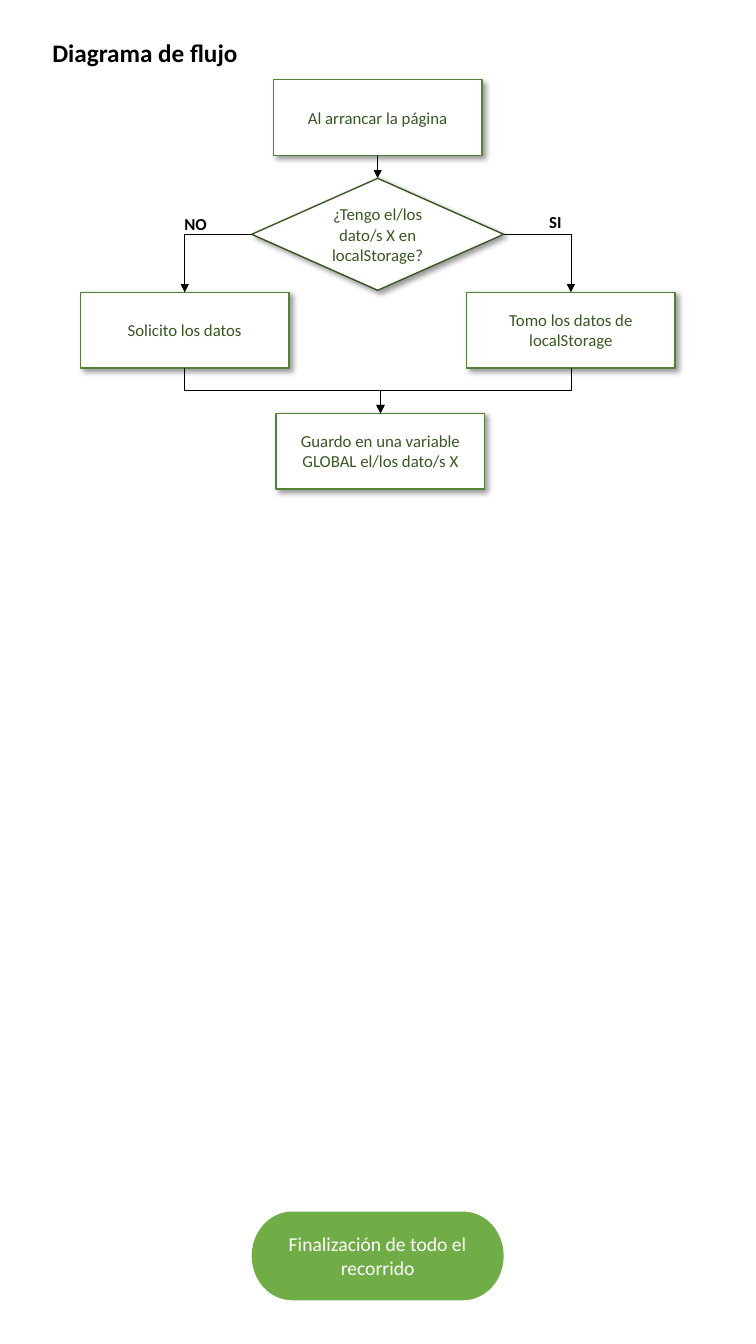
import pptx
import pptx.dml.color
import pptx.enum.shapes
import pptx.enum.text
import pptx.oxml
import pptx.oxml.ns
import pptx.util
from dataclasses import dataclass

Pt = pptx.util.Pt
SHAPE = pptx.enum.shapes.MSO_SHAPE
ALIGN = pptx.enum.text.PP_ALIGN
ANCHOR = pptx.enum.text.MSO_ANCHOR
TOP, LEFT, BOTTOM, RIGHT = range(4)  # connection sites of a box


@dataclass(frozen=True)
class Theme:
    font: str = "Calibri"
    title_size: float = 18
    end_size: float = 14
    body_size: float = 12
    ink: str = "000000"
    paper: str = "FFFFFF"
    box_line: str = "548235"
    dark_green: str = "385723"
    end_fill: str = "70AD47"
    box_width: float = 1
    connector_width: float = 0.5


THEME = Theme()
SLIDE_SIZE = (540, 960)
PROCESS_SIZE, DECISION_SIZE, END_SIZE = (149, 54), (180, 80), (180, 63.4)
LABEL_SIZE = (40, 21.6)

TITLE = ("Diagrama de flujo", (30.2, 23, 218, 29))
# key: (text, kind, centre x, top)
STEPS = {
    "start": ("Al arrancar la página", "process", 269.8, 56.9),
    "question": ("¿Tengo el/los dato/s X en localStorage?", "decision", 269.8, 127.4),
    "ask": ("Solicito los datos", "process", 132, 208.8),
    "take": ("Tomo los datos de localStorage", "process", 407.8, 208.8),
    "store": ("Guardo en una variable GLOBAL el/los dato/s X", "process", 271.8, 295.2),
    "end": ("Finalización de todo el recorrido", "end", 269.8, 865.4),
}
# kind: (preset, size, fill, line, text colour, text size)
KINDS = {
    "process": (SHAPE.FLOWCHART_PROCESS, PROCESS_SIZE, THEME.paper,
                THEME.box_line, THEME.dark_green, THEME.body_size),
    "decision": (SHAPE.FLOWCHART_DECISION, DECISION_SIZE, THEME.paper,
                 THEME.dark_green, THEME.dark_green, THEME.body_size),
    "end": (SHAPE.FLOWCHART_TERMINATOR, END_SIZE, THEME.end_fill,
            None, THEME.paper, THEME.end_size),
}
# (from, site, to, preset)
ARROWS = [
    ("start", BOTTOM, "question", "line"),
    ("question", LEFT, "ask", "bentConnector2"),
    ("question", RIGHT, "take", "bentConnector2"),
    ("ask", BOTTOM, "store", "bentConnector3"),
    ("take", BOTTOM, "store", "bentConnector3"),
]
# (text, centre x, top)
LABELS = [("NO", 139.7, 149), ("SI", 396.7, 147.6)]


def color(value):
    return pptx.dml.color.RGBColor.from_string(value)


def append_xml(parent, xml):
    namespace = pptx.oxml.ns.nsdecls("a")
    parent.append(pptx.oxml.parse_xml(xml.replace("NS", namespace, 1)))


def write(shape, text, size, ink, bold=False, align=ALIGN.CENTER, anchor=ANCHOR.MIDDLE):
    frame = shape.text_frame
    frame.text = text
    frame.word_wrap = True
    frame.vertical_anchor = anchor
    paragraph = frame.paragraphs[0]
    paragraph.alignment = align
    font = paragraph.runs[0].font
    font.name, font.size, font.bold = THEME.font, Pt(size), bold
    font.color.rgb = color(ink)


def place(shape, left, top, width, height):
    shape.left, shape.top = Pt(left), Pt(top)
    shape.width, shape.height = Pt(width), Pt(height)


def add_step(slide, text, kind, center, top):
    preset, (width, height), fill, line, ink, size = KINDS[kind]
    shape = slide.shapes.add_shape(
        preset, Pt(center - width / 2), Pt(top), Pt(width), Pt(height))
    shape.fill.solid()
    shape.fill.fore_color.rgb = color(fill)
    shape.shadow.inherit = False
    if line:
        shape.line.color.rgb = color(line)
        shape.line.width = Pt(THEME.box_width)
        effects = shape._element.spPr.find(pptx.oxml.ns.qn("a:effectLst"))
        append_xml(effects, (
            f'<a:outerShdw NS blurRad="{Pt(4)}" dist="{Pt(3)}" dir="2700000" '
            f'algn="tl" rotWithShape="0"><a:srgbClr val="{THEME.ink}">'
            '<a:alpha val="40000"/></a:srgbClr></a:outerShdw>'))
    else:
        shape.line.fill.background()
    write(shape, text, size, ink)
    return shape


def turn_downwards(connector):
    """Rotate a three-part elbow so that it leaves and arrives vertically."""
    across, down = connector.width, connector.height
    goes_right = connector.end_x > connector.begin_x
    center_x = connector.left + across // 2
    center_y = connector.top + down // 2
    connector.left, connector.top = center_x - down // 2, center_y - across // 2
    connector.width, connector.height = down, across
    transform = connector._element.spPr.find(pptx.oxml.ns.qn("a:xfrm"))
    transform.set("rot", str((270 if goes_right else 90) * 60000))
    transform.set("flipH", "1" if goes_right else "0")


def add_arrow(slide, source, site, target, preset):
    connector = slide.shapes.add_connector(
        pptx.enum.shapes.MSO_CONNECTOR.ELBOW, 0, 0, 0, 0)
    connector.begin_connect(source, site)
    connector.end_connect(target, TOP)
    properties = connector._element.spPr
    properties.find(pptx.oxml.ns.qn("a:prstGeom")).set("prst", preset)
    if preset == "bentConnector3":
        turn_downwards(connector)
    connector.line.color.rgb = color(THEME.ink)
    connector.line.width = Pt(THEME.connector_width)
    append_xml(connector.line._get_or_add_ln(), '<a:tailEnd NS type="triangle"/>')
    append_xml(properties, "<a:effectLst NS/>")


def main():
    presentation = pptx.Presentation()
    presentation.slide_width, presentation.slide_height = map(Pt, SLIDE_SIZE)
    slide = presentation.slides.add_slide(presentation.slide_layouts[5])

    text, box = TITLE
    title = slide.shapes.title
    place(title, *box)
    write(title, text, THEME.title_size, THEME.ink, True, ALIGN.LEFT, ANCHOR.TOP)

    steps = {key: add_step(slide, *step) for key, step in STEPS.items()}
    for source, site, target, preset in ARROWS:
        add_arrow(slide, steps[source], site, steps[target], preset)

    width, height = LABEL_SIZE
    for text, center, top in LABELS:
        label = slide.shapes.add_textbox(
            Pt(center - width / 2), Pt(top), Pt(width), Pt(height))
        write(label, text, THEME.body_size, THEME.ink, True, anchor=ANCHOR.TOP)

    presentation.save("out.pptx")


if __name__ == "__main__":
    main()
